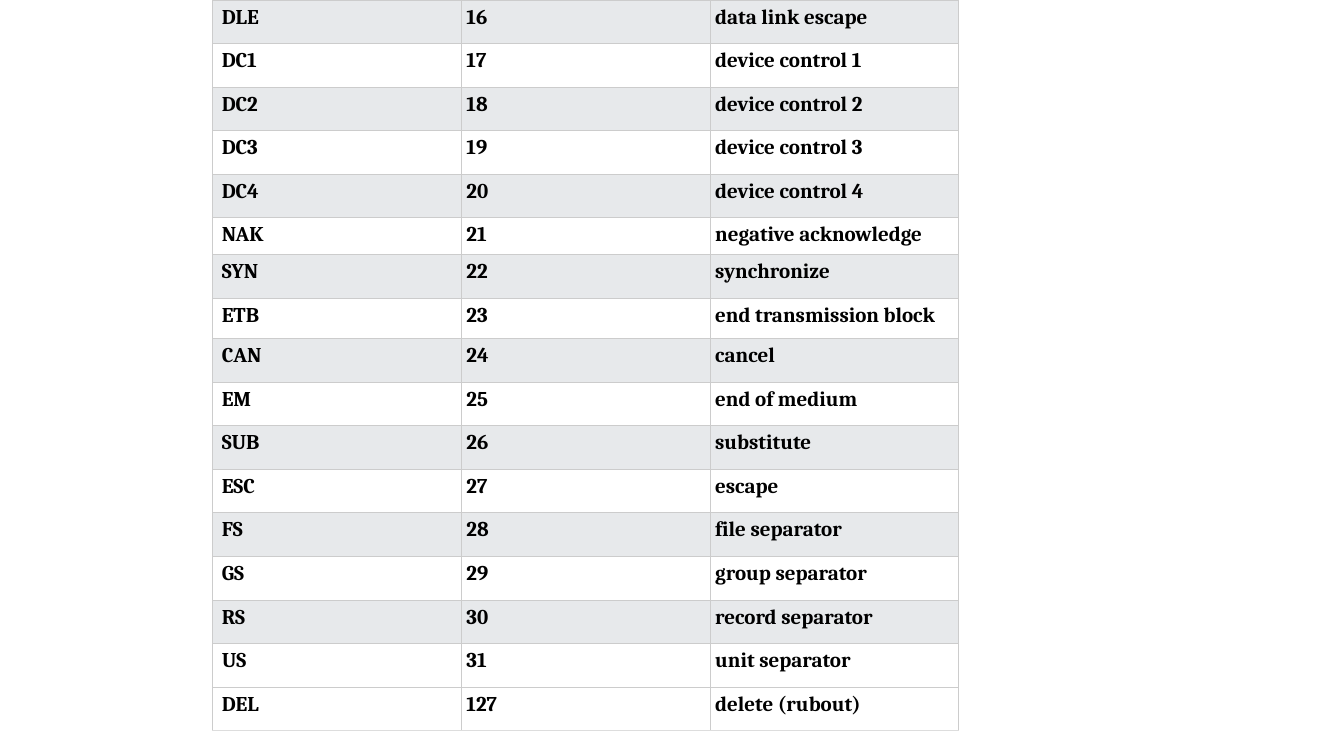
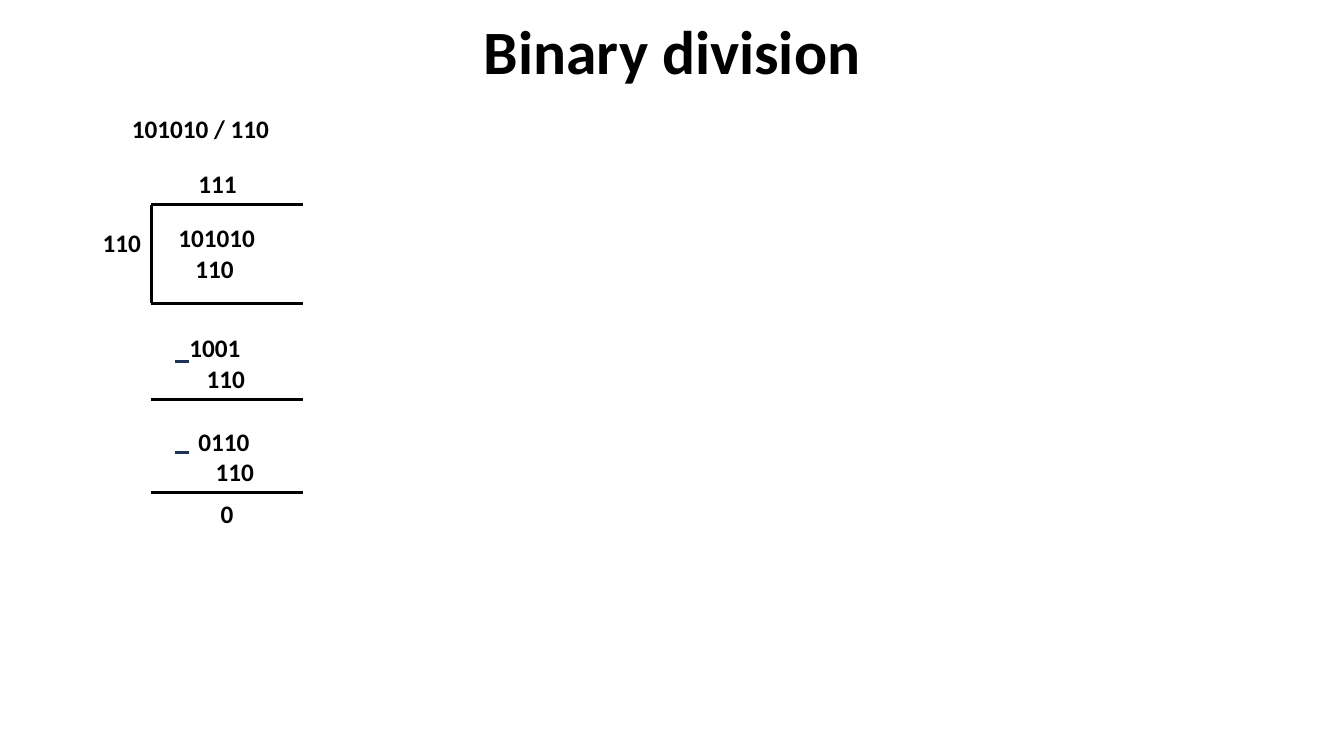
from dataclasses import dataclass
from lxml import etree
from pptx import Presentation
from pptx.dml.color import RGBColor
from pptx.enum.shapes import MSO_CONNECTOR
from pptx.enum.text import MSO_ANCHOR, MSO_AUTO_SIZE, PP_ALIGN
from pptx.oxml.ns import qn
from pptx.util import Inches, Pt

STRAIGHT = MSO_CONNECTOR.STRAIGHT
MIDDLE = MSO_ANCHOR.MIDDLE
CENTER = PP_ALIGN.CENTER
GROW = MSO_AUTO_SIZE.SHAPE_TO_FIT_TEXT
FIXED = MSO_AUTO_SIZE.NONE


@dataclass(frozen=True)
class Theme:
    ink: str = "000000"
    paper: str = "FFFFFF"
    band: str = "E7E9EB"
    grid: str = "CCCCCC"
    foot: str = "DDDDDD"
    minus: str = "1E3256"
    sans: str = "Calibri"
    serif: str = "Cambria"
    title: float = 44
    body: float = 18
    cell: float = 15
    rule: float = 2.25
    edge: float = 0.75


@dataclass(frozen=True)
class Box:
    left: float
    top: float
    width: float
    height: float
    cols: int = 1
    rows: int = 1

    def at(self, col, row):
        return (Inches(self.left + col * self.width / self.cols),
                Inches(self.top + row * self.height / self.rows))

    def size(self, cols, rows):
        return (Inches(cols * self.width / self.cols),
                Inches(rows * self.height / self.rows))


THEME = Theme()
WIDE, HIGH = 13.33, 7.5
CODES = [
    ("DLE", "16", "data link escape"),
    ("DC1", "17", "device control 1"),
    ("DC2", "18", "device control 2"),
    ("DC3", "19", "device control 3"),
    ("DC4", "20", "device control 4"),
    ("NAK", "21", "negative acknowledge"),
    ("SYN", "22", "synchronize"),
    ("ETB", "23", "end transmission block"),
    ("CAN", "24", "cancel"),
    ("EM", "25", "end of medium"),
    ("SUB", "26", "substitute"),
    ("ESC", "27", "escape"),
    ("FS", "28", "file separator"),
    ("GS", "29", "group separator"),
    ("RS", "30", "record separator"),
    ("US", "31", "unit separator"),
    ("DEL", "127", "delete (rubout)"),
]
SHORT = {"NAK": 0.37, "ETB": 0.4}
INDENT = 0.17


def style(para, face, size):
    font = para.font
    font.name, font.size, font.bold = face, Pt(size), True
    font.color.rgb = RGBColor.from_string(THEME.ink)


def border(cell, foot):
    props = cell._tc.get_or_add_tcPr()
    for side in "LRTB":
        line = etree.SubElement(props, qn("a:ln" + side), w=str(Pt(THEME.edge)))
        fill = etree.SubElement(line, qn("a:solidFill"))
        color = foot if side == "B" else THEME.grid
        etree.SubElement(fill, qn("a:srgbClr"), val=color)


def fill_cell(cell, text, inset, color, foot):
    cell.margin_left = Inches(inset)
    cell.margin_right = cell.margin_top = cell.margin_bottom = Inches(0.05)
    cell.text = text
    style(cell.text_frame.paragraphs[0], THEME.serif, THEME.cell)
    border(cell, foot)
    cell.fill.solid()
    cell.fill.fore_color.rgb = RGBColor.from_string(color)


def code_table(slide, box):
    count = len(CODES)
    table = slide.shapes.add_table(count, 3, *box.at(0, 0),
                                   *box.size(box.cols, box.rows)).table
    table.first_row = table.horz_banding = False
    for col in table.columns:
        col.width = box.size(1, 1)[0]
    tall = (box.height - sum(SHORT.values())) / (count - len(SHORT))
    for r, row in enumerate(CODES):
        last = r == count - 1
        table.rows[r].height = Inches(SHORT.get(row[0], tall))
        color = THEME.paper if r % 2 or last else THEME.band
        foot = THEME.foot if last else THEME.grid
        for c, text in enumerate(row):
            fill_cell(table.cell(r, c), text, 0.05 if c else 0.09, color, foot)


def set_title(slide, text, box):
    title = slide.shapes.title
    title.left, title.top = box.at(0, 0)
    title.width, title.height = box.size(1, 1)
    frame = title.text_frame
    frame.text = text
    frame.auto_size = FIXED
    frame.vertical_anchor = MIDDLE
    para = frame.paragraphs[0]
    para.alignment, para.line_spacing = CENTER, 0.9
    style(para, THEME.sans, THEME.title)


def label(slide, box, spot, size, lines, wrap):
    frame = slide.shapes.add_textbox(*box.at(*spot), *box.size(*size)).text_frame
    frame.word_wrap, frame.auto_size = wrap, GROW
    frame.text = "\n".join(lines)
    for i, para in enumerate(frame.paragraphs):
        if i:
            props = para._p.get_or_add_pPr()
            props.set("marL", str(Inches(INDENT)))
            props.set("indent", "0")
        style(para, THEME.sans, THEME.body)


def rule(slide, box, start, end, color):
    line = slide.shapes.add_connector(STRAIGHT, *box.at(*start), *box.at(*end))
    line.line.color.rgb = RGBColor.from_string(color)
    line.line.width = Pt(THEME.rule)
    etree.SubElement(line._element.spPr, qn("a:effectLst"))


def long_division(slide, box):
    one, two = 4, 7.1
    near, far = 5.8, 20.9
    bars = (9.5, 19.3, 28.8, 38.1)
    parts = [
        ((2.9, 0), (20.7, one), ["101010 / 110"], True),
        ((0, 11.3), (5.9, one), ["110"], False),
        ((7.5, 10.8), (12.6, two), ["101010", "110"], True),
        ((8.6, 21.7), (8.5, two), ["1001", "110"], True),
        ((9.5, 31), (7.6, two), ["0110", "110"], False),
        ((9.5, 5.4), (5.9, one), ["111"], False),
        ((11.7, bars[-1]), (3.3, one), ["0"], False),
    ]
    for part in parts:
        label(slide, box, *part)
    rule(slide, box, (near, bars[0]), (near, bars[1]), THEME.ink)
    for row in bars:
        rule(slide, box, (near, row), (far, row), THEME.ink)
    for row in (25.1, 34.1):
        rule(slide, box, (8.2, row), (9.5, row), THEME.minus)


def main():
    deck = Presentation()
    deck.slide_width, deck.slide_height = Inches(WIDE), Inches(HIGH)
    codes = deck.slides.add_slide(deck.slide_layouts[6])
    code_table(codes, Box(2.11, 0, 7.4, 7.25, 3, len(CODES)))
    sums = deck.slides.add_slide(deck.slide_layouts[5])
    set_title(sums, "Binary division", Box(0.92, 0, 11.5, 1.08))
    long_division(sums, Box(0.92, 1.08, 2.4, 4.2, 24, 42))
    deck.save("out.pptx")


if __name__ == "__main__":
    main()
